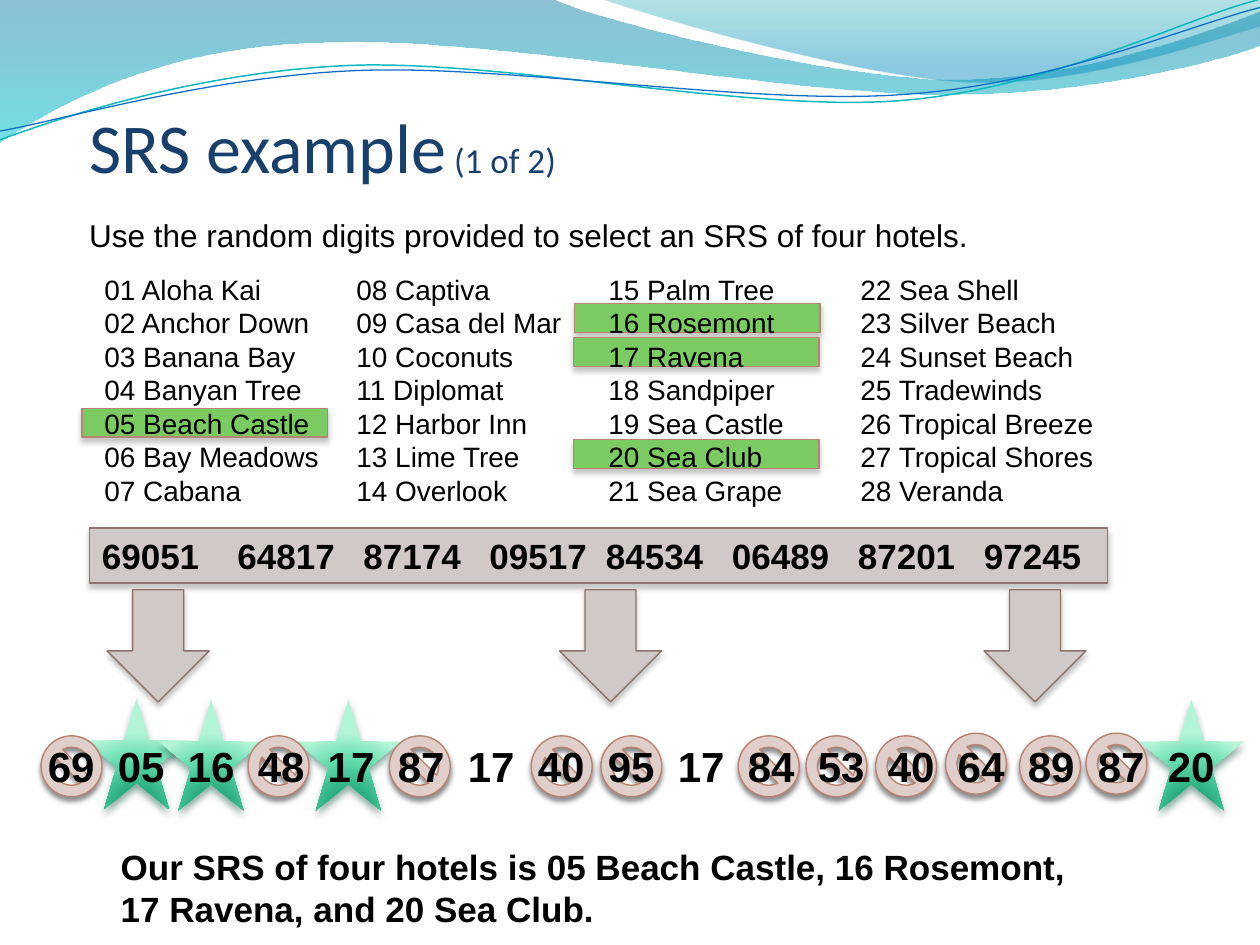
from lxml import etree
from pptx import Presentation
from pptx.dml.color import RGBColor
from pptx.enum.shapes import MSO_SHAPE
from pptx.enum.text import MSO_ANCHOR, PP_ALIGN
from pptx.oxml.ns import qn
from pptx.util import Pt

RECTANGLE = MSO_SHAPE.RECTANGLE
STAR = MSO_SHAPE.STAR_5_POINT
NO_SIGN = MSO_SHAPE.NO_SYMBOL
DOWN_ARROW = MSO_SHAPE.DOWN_ARROW
LEFT = PP_ALIGN.LEFT
TOP, MIDDLE, BOTTOM = MSO_ANCHOR.TOP, MSO_ANCHOR.MIDDLE, MSO_ANCHOR.BOTTOM

COLORS = {
    "text": "000000", "title": "17406D",
    "chosen": "7CCA62", "sign": "DFCEC9", "sign_line": "B88472",
    "bar": "D1C9C7", "bar_line": "8E736A",
    "wave_teal": "0AB8BF", "wave_blue": "0F6FC6",
    "shadow": "808080", "sign_shadow": "000000", "star_shadow": "044A37",
}
WAVE_STOPS = [(0, "0074A1", 45), (100, "00C6CF", 55)]
CREST_STOPS = [(0, "00A1A9", 30), (80, "008BBF", 45)]
STAR_STOPS = [(0, "008C60", 100), (68, "65DEB0", 100), (100, "B2F4D6", 100)]

WAVE = [(0, 0), (316.8, 0), (342.7, 12.2, 478.1, 45.4, 545.8, 45.4),
        (614.2, 45.4, 689.8, 18.7, 720, 6.5), (720, 25.9),
        (707.8, 31.7, 626.4, 54.7, 537.1, 54),
        (447.8, 54, 275, 20.2, 185, 24.5), (92.9, 25.9, 33.1, 59.8, 0, 81.4)]
CREST = [(344.9, 0), (366.5, 7.9, 491, 44.6, 553.7, 46.8),
         (616.3, 49.7, 691.9, 23, 720, 15.1), (720, 0)]
TEAL_LINE = [(0, 79.9), (34.6, 67, 113.8, 41, 199.4, 37.4),
             (284.4, 33.8, 427, 64.1, 513.4, 57.6),
             (599.8, 51.1, 675.4, 10.8, 718.6, 0)]
BLUE_LINE = [(0, 74.9), (33.8, 69.1, 118.1, 43.9, 203.8, 40.3),
             (290.2, 36.7, 429.8, 60.5, 516.2, 54),
             (601.9, 48.2, 677.5, 15.1, 720, 4.3)]

HOTELS = [
    "Aloha Kai", "Anchor Down", "Banana Bay", "Banyan Tree", "Beach Castle",
    "Bay Meadows", "Cabana", "Captiva", "Casa del Mar", "Coconuts",
    "Diplomat", "Harbor Inn", "Lime Tree", "Overlook", "Palm Tree",
    "Rosemont", "Ravena", "Sandpiper", "Sea Castle", "Sea Club",
    "Sea Grape", "Sea Shell", "Silver Beach", "Sunset Beach", "Tradewinds",
    "Tropical Breeze", "Tropical Shores", "Veranda",
]
HOTEL_ROWS = 7
RANDOM_DIGITS = "69051 64817 87174 09517 84534 06489 87201 97245".split()
PAIRS = "69 05 16 48 17 87 17 40 95 17 84 53 40 64 89 87 20".split()
PAIR_PITCH = 40

HIGHLIGHTS = [(46.8, 233.3), (328.3, 173.5), (327.6, 193), (327.6, 251.3)]
STARS = [(48.2, 398.9), (90.7, 399.6), (169.2, 399.6), (650.9, 399.6)]
SIGN_TOP, RAISED_SIGN_TOP = 420.5, 419
SIGN_LEFTS = [23.5, 141.8, 222.5, 303.6, 343.4, 421.9, 460.6, 500.4, 582.6]
RAISED_SIGN_LEFTS = [540.3, 620.6]
ARROW_LEFTS = [61.2, 319.7, 562.3]


def rgb(name):
    """Look up a named colour."""
    return RGBColor.from_string(COLORS[name])


def add_color(parent, hex_color, alpha):
    """Append a colour with an opacity in percent."""
    color = etree.SubElement(parent, qn("a:srgbClr"), val=hex_color)
    etree.SubElement(color, qn("a:alpha"), val=str(alpha * 1000))


def fill_gradient(shape, stops, radial=False):
    """Fill a shape with a downward or a radial gradient."""
    shape.fill.gradient()
    gradient = shape._element.spPr.find(qn("a:gradFill"))
    for child in list(gradient):
        gradient.remove(child)
    stop_list = etree.SubElement(gradient, qn("a:gsLst"))
    for position, hex_color, alpha in stops:
        stop = etree.SubElement(stop_list, qn("a:gs"), pos=str(position * 1000))
        add_color(stop, hex_color, alpha)
    if radial:
        circle = etree.SubElement(gradient, qn("a:path"), path="circle")
        etree.SubElement(circle, qn("a:fillToRect"),
                         l="50000", t="130000", r="50000", b="-30000")
    else:
        etree.SubElement(gradient, qn("a:lin"), ang="5400000", scaled="0")


def add_shadow(shape, color, alpha=45, blur=3, distance=2.4):
    """Give a shape a soft shadow straight below it."""
    shape.shadow.inherit = False
    effects = shape._element.spPr.find(qn("a:effectLst"))
    shadow = etree.SubElement(
        effects, qn("a:outerShdw"), blurRad=str(Pt(blur)),
        dist=str(Pt(distance)), dir="5400000", rotWithShape="0")
    add_color(shadow, COLORS[color], alpha)


def trace(outline, steps=24):
    """Turn straight and cubic segments into a list of points."""
    points = [outline[0]]
    for segment in outline[1:]:
        if len(segment) == 2:
            points.append(segment)
            continue
        nodes = [points[-1], segment[:2], segment[2:4], segment[4:]]
        for step in range(1, steps + 1):
            t = step / steps
            weights = ((1 - t) ** 3, 3 * t * (1 - t) ** 2, 3 * t * t * (1 - t), t ** 3)
            points.append(tuple(sum(w * node[axis] for w, node in zip(weights, nodes))
                                for axis in (0, 1)))
    return [(Pt(x), Pt(y)) for x, y in points]


def add_wave(slide, outline, stops=None, line=None, width=0.75):
    """Draw a filled wave or an open wavy line."""
    start, *rest = trace(outline)
    builder = slide.shapes.build_freeform(*start)
    builder.add_line_segments(rest, close=bool(stops))
    wave = builder.convert_to_shape()
    wave.shadow.inherit = False
    if stops:
        fill_gradient(wave, stops)
        wave.line.fill.background()
    else:
        wave.fill.background()
        wave.line.color.rgb = rgb(line)
        wave.line.width = Pt(width)


def add_figure(slide, kind, box, fill, line, shadow="shadow"):
    """Draw a preset shape with a plain fill, a thin line and a shadow."""
    figure = slide.shapes.add_shape(kind, *map(Pt, box))
    figure.fill.solid()
    figure.fill.fore_color.rgb = rgb(fill)
    figure.line.color.rgb = rgb(line)
    figure.line.width = Pt(0.79)
    add_shadow(figure, shadow)
    return figure


def add_star(slide, left, top):
    """Draw the star that marks a selected number."""
    star = slide.shapes.add_shape(STAR, Pt(left), Pt(top), Pt(59.8), Pt(63.4))
    fill_gradient(star, STAR_STOPS, radial=True)
    star.line.fill.background()
    add_shadow(star, "star_shadow", alpha=48, blur=4.5, distance=3)


def write(frame, lines, size, bold=False, color="text", font="Arial", stops=(), anchor=TOP):
    """Fill a text frame with lines that share one format and tab stops."""
    frame.word_wrap = True
    frame.vertical_anchor = anchor
    frame.text = "\n".join(lines)
    for paragraph in frame.paragraphs:
        if stops:
            tabs = etree.SubElement(paragraph._p.get_or_add_pPr(), qn("a:tabLst"))
            for stop in stops:
                etree.SubElement(tabs, qn("a:tab"), pos=str(Pt(stop)), algn="l")
        paragraph.alignment = LEFT
        paragraph.font.size = Pt(size)
        for run in paragraph.runs:
            run.font.name = font
            run.font.size = Pt(size)
            run.font.bold = bold
            run.font.color.rgb = rgb(color)


def add_text(slide, box, lines, size, **style):
    """Add a text box and return its frame."""
    frame = slide.shapes.add_textbox(*map(Pt, box)).text_frame
    write(frame, lines, size, **style)
    return frame


def add_title(slide):
    """Add the title with its smaller page count."""
    frame = add_text(slide, (51.1, 11.5, 612, 95.8), ["SRS example"], 40,
                     color="title", font="Calibri", anchor=BOTTOM)
    frame.margin_left = frame.margin_right = frame.margin_bottom = 0
    count = frame.paragraphs[0].add_run()
    count.text = " (1 of 2)"
    count.font.name = "Calibri"
    count.font.size = Pt(20)
    count.font.color.rgb = rgb("title")


def main():
    """Build the slide and save it."""
    prs = Presentation()
    prs.slide_width, prs.slide_height = Pt(720), Pt(540)
    slide = prs.slides.add_slide(prs.slide_layouts[6])

    add_wave(slide, WAVE, stops=WAVE_STOPS)
    add_wave(slide, CREST, stops=CREST_STOPS)
    add_wave(slide, TEAL_LINE, line="wave_teal", width=0.85)
    add_wave(slide, BLUE_LINE, line="wave_blue")
    add_title(slide)
    add_text(slide, (43.9, 120.2, 521.3, 28.8),
             ["Use the random digits provided to select an SRS of four hotels."], 18)

    for left, top in HIGHLIGHTS:
        add_figure(slide, RECTANGLE, (left, top, 140.4, 16.4), "chosen", "sign_line")
    for left, top in STARS:
        add_star(slide, left, top)
    for lefts, top in ((SIGN_LEFTS, SIGN_TOP), (RAISED_SIGN_LEFTS, RAISED_SIGN_TOP)):
        for left in lefts:
            add_figure(slide, NO_SIGN, (left, top, 34.8, 34.8),
                       "sign", "sign_line", "sign_shadow")

    hotels = [f"{number:02d} {name}" for number, name in enumerate(HOTELS, 1)]
    rows = ["\t".join(hotels[row::HOTEL_ROWS]) for row in range(HOTEL_ROWS)]
    add_text(slide, (52.6, 151.9, 596.9, 143.3), rows, 16, stops=(144, 288, 432))
    bar = add_figure(slide, RECTANGLE, (51.1, 301.7, 581.8, 31.5), "bar", "bar_line")
    write(bar.text_frame, ["\t".join(RANDOM_DIGITS)], 20, bold=True,
          stops=(77.5, 149.5, 221.5, 288, 360, 432, 504), anchor=MIDDLE)
    add_text(slide, (20.2, 419.8, 690.5, 36), ["\t".join(PAIRS)], 24, bold=True,
             stops=[PAIR_PITCH * column for column in range(1, len(PAIRS))])
    for left in ARROW_LEFTS:
        add_figure(slide, DOWN_ARROW, (left, 337, 58.3, 64.1), "bar", "bar_line")
    add_text(slide, (61.9, 479.5, 571.7, 55.4),
             ["Our SRS of four hotels is 05 Beach Castle, 16 Rosemont, "
              "17 Ravena, and 20 Sea Club."], 20, bold=True)
    prs.save("out.pptx")


if __name__ == "__main__":
    main()
